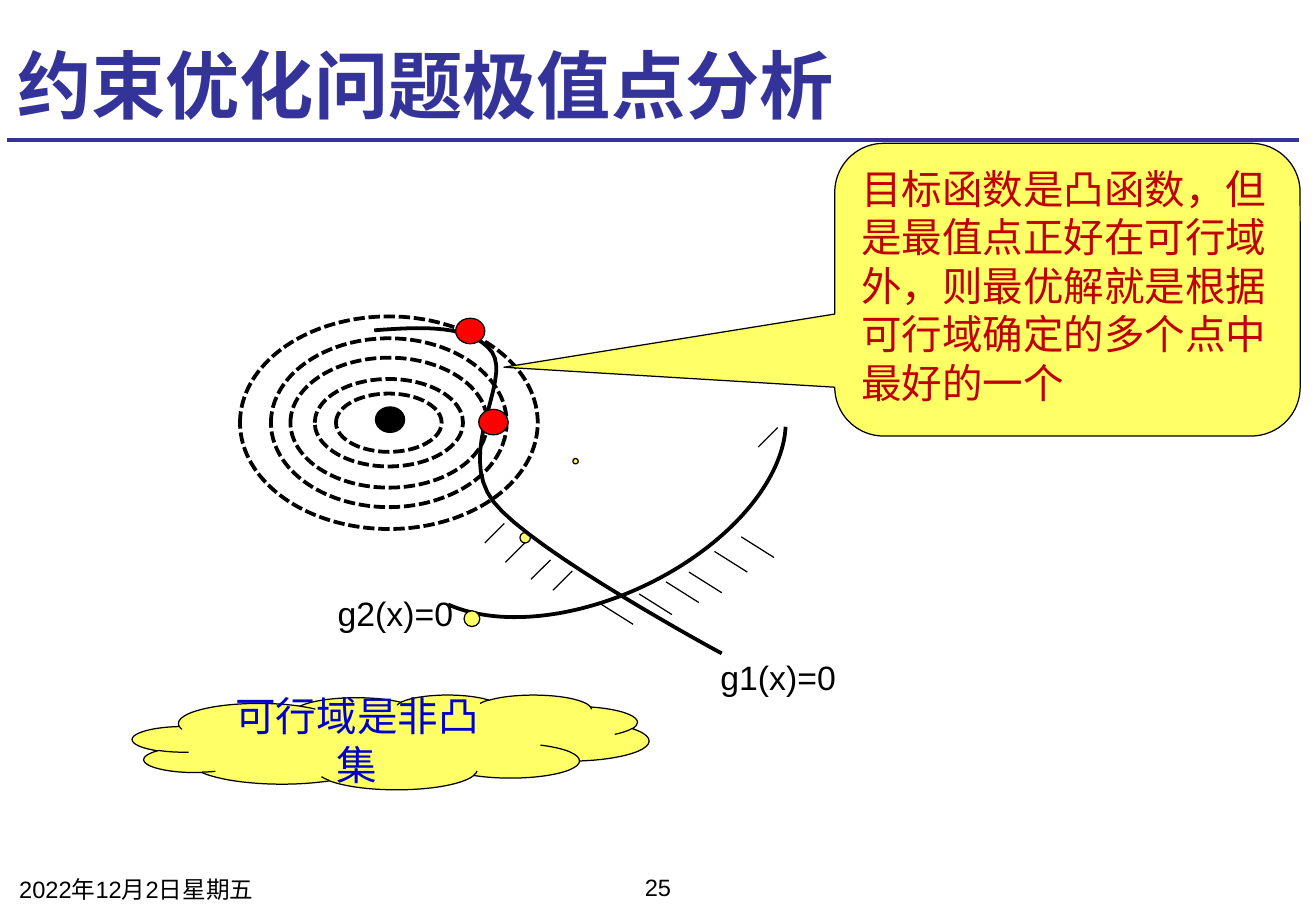
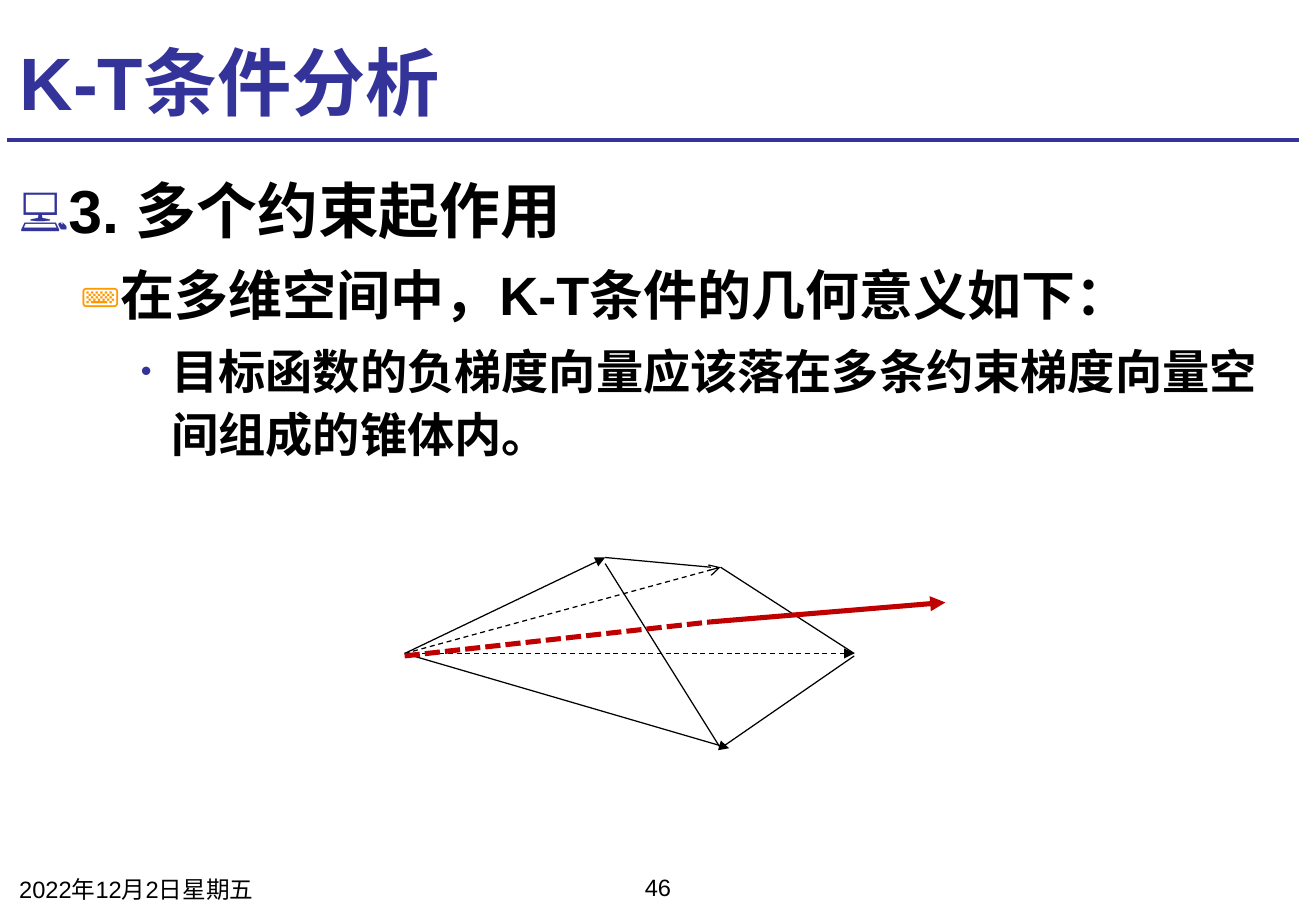
import dataclasses

import lxml.etree
import pptx
import pptx.dml.color
import pptx.enum.dml
import pptx.enum.lang
import pptx.enum.shapes
import pptx.enum.text
import pptx.oxml.ns
import pptx.util

COLUMNS, ROWS = 108.3, 75
SHAPE = pptx.enum.shapes.MSO_SHAPE
DASH = pptx.enum.dml.MSO_LINE
ALIGN = pptx.enum.text.PP_ALIGN
ANCHOR = pptx.enum.text.MSO_ANCHOR


@dataclasses.dataclass(frozen=True)
class Theme:
    font: str = "Arial"
    navy: str = "333399"
    orange: str = "FF9900"
    black: str = "000000"
    yellow: str = "FFFF66"
    blue: str = "0000CC"
    crimson: str = "C00000"
    red: str = "FF0000"
    title_size: float = 44
    list_sizes: tuple = (36, 32, 28)
    callout_size: float = 24
    label_size: float = 20
    footer_size: float = 14
    thin: float = 0.75
    medium: float = 2.25
    thick: float = 3


THEME = Theme()

# Per list level: left margin and hanging indent in columns, bullet, its colour, size in %
LIST_LEVELS = (
    (3.8, 3.8, "💻", THEME.navy, 75),
    (8.1, 3.1, "⌨", THEME.orange, 70),
    (12.5, 2.5, "•", THEME.navy, 65),
)


def rgb(colour):
    return pptx.dml.color.RGBColor.from_string(colour)


def add_xml(parent, tag, **attributes):
    name = pptx.oxml.ns.qn(tag)
    return lxml.etree.SubElement(parent, name, **attributes)


def bezier(start, first, second, end, steps=16):
    """Points after start on a cubic curve."""
    for step in range(1, steps + 1):
        t = step / steps
        weights = ((1 - t) ** 3, 3 * t * (1 - t) ** 2, 3 * t * t * (1 - t), t ** 3)
        yield tuple(
            sum(w * value for w, value in zip(weights, axis))
            for axis in zip(start, first, second, end)
        )


class Deck:
    def __init__(self):
        self.presentation = pptx.Presentation()
        self.presentation.slide_width = pptx.util.Inches(10.83)
        self.presentation.slide_height = pptx.util.Inches(7.5)
        self.slide = None

    def x(self, columns):
        return round(columns * self.presentation.slide_width / COLUMNS)

    def y(self, rows):
        return round(rows * self.presentation.slide_height / ROWS)

    def box(self, left, top, width, height):
        return self.x(left), self.y(top), self.x(width), self.y(height)

    def place(self, placeholder, box):
        (placeholder.left, placeholder.top,
         placeholder.width, placeholder.height) = self.box(*box)
        placeholder.text_frame.auto_size = pptx.enum.text.MSO_AUTO_SIZE.NONE

    def format(self, paragraph, size, colour, bold=False, align=ALIGN.LEFT):
        paragraph.alignment = align
        for run in paragraph.runs:
            font = run.font
            font.name, font.size, font.bold = THEME.font, pptx.util.Pt(size), bold
            font.color.rgb = rgb(colour)
            font.language_id = pptx.enum.lang.MSO_LANGUAGE_ID.SIMPLIFIED_CHINESE

    def stroke(self, line, weight, colour=THEME.black, dash=None):
        line.width = pptx.util.Pt(weight)
        line.color.rgb = rgb(colour)
        if dash is not None:
            line.dash_style = dash

    def start(self, layout, title, title_box, number):
        """Begin a slide with the shared rule, title and footer."""
        layouts = self.presentation.slide_layouts
        self.slide = self.presentation.slides.add_slide(layouts.get_by_name(layout))
        self.line((0.6, 11.5), (106.9, 11.5), THEME.medium, THEME.navy)
        heading = self.slide.shapes.title
        self.place(heading, title_box)
        heading.text_frame.text = title
        heading.text_frame.vertical_anchor = ANCHOR.BOTTOM
        self.format(heading.text_frame.paragraphs[0], THEME.title_size, THEME.navy, True)
        self.text("2022年12月2日星期五", (0.6, 71.5, 25.3, 3), THEME.footer_size)
        self.text(number, (41.5, 71.4, 25.3, 3), THEME.footer_size, align=ALIGN.CENTER)

    def text(self, words, box, size, wrap=True, align=ALIGN.LEFT):
        frame = self.slide.shapes.add_textbox(*self.box(*box)).text_frame
        frame.word_wrap = wrap
        frame.text = words
        self.format(frame.paragraphs[0], size, THEME.black, align=align)

    def outline(self, items, box):
        """Fill the body placeholder, each item one level below the last."""
        body = self.slide.placeholders[1]
        self.place(body, box)
        frame = body.text_frame
        frame.text = "\n".join(items)
        for level, paragraph in enumerate(frame.paragraphs):
            margin, hanging, mark, mark_colour, percent = LIST_LEVELS[level]
            paragraph.level = level
            paragraph.line_spacing = 1.1
            paragraph.space_before = pptx.util.Pt(6 if level else 0)
            properties = paragraph._p.get_or_add_pPr()
            properties.set("marL", str(self.x(margin)))
            properties.set("indent", str(-self.x(hanging)))
            add_xml(add_xml(properties, "a:buClr"), "a:srgbClr", val=mark_colour)
            add_xml(properties, "a:buSzPct", val=str(percent * 1000))
            add_xml(properties, "a:buFont", typeface=THEME.font)
            add_xml(properties, "a:buChar", char=mark)
            self.format(paragraph, THEME.list_sizes[level], THEME.black, True)

    def shape(self, kind, box, fill=None, weight=THEME.thin, dash=None, adjust=()):
        shape = self.slide.shapes.add_shape(kind, *self.box(*box))
        shape.shadow.inherit = False
        for index, value in enumerate(adjust):
            shape.adjustments[index] = value
        if fill:
            shape.fill.solid()
            shape.fill.fore_color.rgb = rgb(fill)
        else:
            shape.fill.background()
        self.stroke(shape.line, weight, dash=dash)
        return shape

    def dot(self, left, top, fill):
        self.shape(SHAPE.FLOWCHART_CONNECTOR, (left, top, 2.4, 2.1), fill)

    def callout(self, kind, words, box, colour, adjust, align, anchor, right_inset=1):
        frame = self.shape(kind, box, THEME.yellow, adjust=adjust).text_frame
        frame.word_wrap = True
        frame.margin_right = self.x(right_inset)
        frame.vertical_anchor = anchor
        frame.text = words
        self.format(frame.paragraphs[0], THEME.callout_size, colour, align=align)

    def line(self, start, end, weight=THEME.thin, colour=THEME.black, dash=None, head=None):
        connector = self.slide.shapes.add_connector(
            pptx.enum.shapes.MSO_CONNECTOR.STRAIGHT,
            self.x(start[0]), self.y(start[1]), self.x(end[0]), self.y(end[1]))
        self.stroke(connector.line, weight, colour, dash)
        properties = connector._element.spPr
        if head:
            add_xml(properties.find(pptx.oxml.ns.qn("a:ln")), "a:tailEnd", type=head)
        add_xml(properties, "a:effectLst")

    def hatch(self, starts, run, rise):
        """Equal parallel strokes, one from each start."""
        for left, top in starts:
            self.line((left, top), (left + run, top + rise))

    def curve(self, start, segments):
        """An open outline of cubic curves, each given by two handles and an end."""
        points, here = [], start
        for segment in segments:
            points += bezier(here, *segment)
            here = segment[-1]
        builder = self.slide.shapes.build_freeform(self.x(start[0]), self.y(start[1]))
        builder.add_line_segments([(self.x(a), self.y(b)) for a, b in points], close=False)
        outline = builder.convert_to_shape()
        outline.shadow.inherit = False
        outline.fill.background()
        self.stroke(outline.line, THEME.medium)


def build_extremum(deck):
    deck.start("Title Only", "约束优化问题极值点分析", (0.4, 2.4, 106.3, 8.7), "25")
    deck.shape(SHAPE.ARC, (31.8, 29.5, 33.9, 19.7), weight=THEME.medium,
               adjust=(114.15, 206.31)).rotation = 154.9
    deck.dot(30.9, 33.5, THEME.black)
    deck.hatch(((45.5, 48.6), (39.9, 44.7), (41.6, 46.3), (43.7, 47.7), (62.4, 36.8)),
               1.6, -1.6)
    deck.hatch(((49.4, 49.7), (52.6, 48.9), (54.8, 47.9),
                (56.7, 47.1), (58.8, 45.4), (61, 44.2)), 2.7, 1.7)
    deck.text("g1(x)=0", (58.3, 53.6, 11.6, 4.4), THEME.label_size, wrap=False)
    deck.text("g2(x)=0", (26.8, 48.3, 11.6, 4.4), THEME.label_size, wrap=False)

    centre_x, centre_y = 32, 34.8
    for width, height in ((8.7, 4.8), (12.2, 7.2), (16.2, 10.7), (19.4, 13.9), (24.5, 17.5)):
        deck.shape(SHAPE.OVAL,
                   (centre_x - width / 2, centre_y - height / 2, width, height),
                   weight=THEME.medium, dash=DASH.SQUARE_DOT)

    deck.callout(SHAPE.CLOUD_CALLOUT, "可行域是非凸集", (10.9, 57.2, 42.5, 7.8),
                 THEME.blue, (0.358, -2.966), ALIGN.CENTER, ANCHOR.MIDDLE, right_inset=3.5)
    deck.callout(SHAPE.ROUNDED_RECTANGULAR_CALLOUT,
                 "目标函数是凸函数，但是最值点正好在可行域外，则最优解就是根据可行域确定的多个点中最好的一个",
                 (68.7, 11.8, 38.3, 24.1), THEME.crimson,
                 (-1.211, 0.265, 0.167), ALIGN.LEFT, ANCHOR.TOP)
    deck.curve((30.8, 27.2), (
        ((34.8, 26.9), (38.8, 26.7), (40.5, 29)),
        ((42.1, 31.4), (37.5, 37.2), (40.6, 41.3)),
        ((43.8, 45.4), (59.4, 53.8), (59.4, 53.8)),
    ))
    deck.dot(37.5, 26.2, THEME.red)
    deck.dot(39.4, 33.7, THEME.red)


def build_cone(deck):
    deck.start("Title and Content", "K-T条件分析", (0.6, 2.1, 106.3, 8.7), "46")
    deck.outline(("3. 多个约束起作用",
                  "在多维空间中，K-T条件的几何意义如下：",
                  "目标函数的负梯度向量应该落在多条约束梯度向量空间组成的锥体内。"),
                 (0.6, 13.1, 106.3, 57.6))

    apex, front_top, back_top = (33.3, 53.8), (49.8, 45.9), (59.3, 46.7)
    right, bottom, crossing = (70.3, 53.8), (59.3, 61.6), (58.5, 51.2)
    deck.line(apex, back_top, dash=DASH.DASH, head="arrow")
    deck.line(apex, (60, 61.6), head="triangle")
    deck.line(apex, front_top, head="triangle")
    deck.line((34, 53.8), right, dash=DASH.DASH, head="triangle")
    for start, end in (((49.8, 46.4), bottom), ((70.3, 54), bottom),
                       (front_top, (58.5, 46.7)), (back_top, right)):
        deck.line(start, end)
    deck.line(crossing, (77.8, 49.6), THEME.thick, THEME.crimson, head="triangle")
    deck.line((33.3, 54), crossing, THEME.thick, THEME.crimson, DASH.SQUARE_DOT)


def main():
    deck = Deck()
    build_extremum(deck)
    build_cone(deck)
    deck.presentation.save("out.pptx")


if __name__ == "__main__":
    main()
